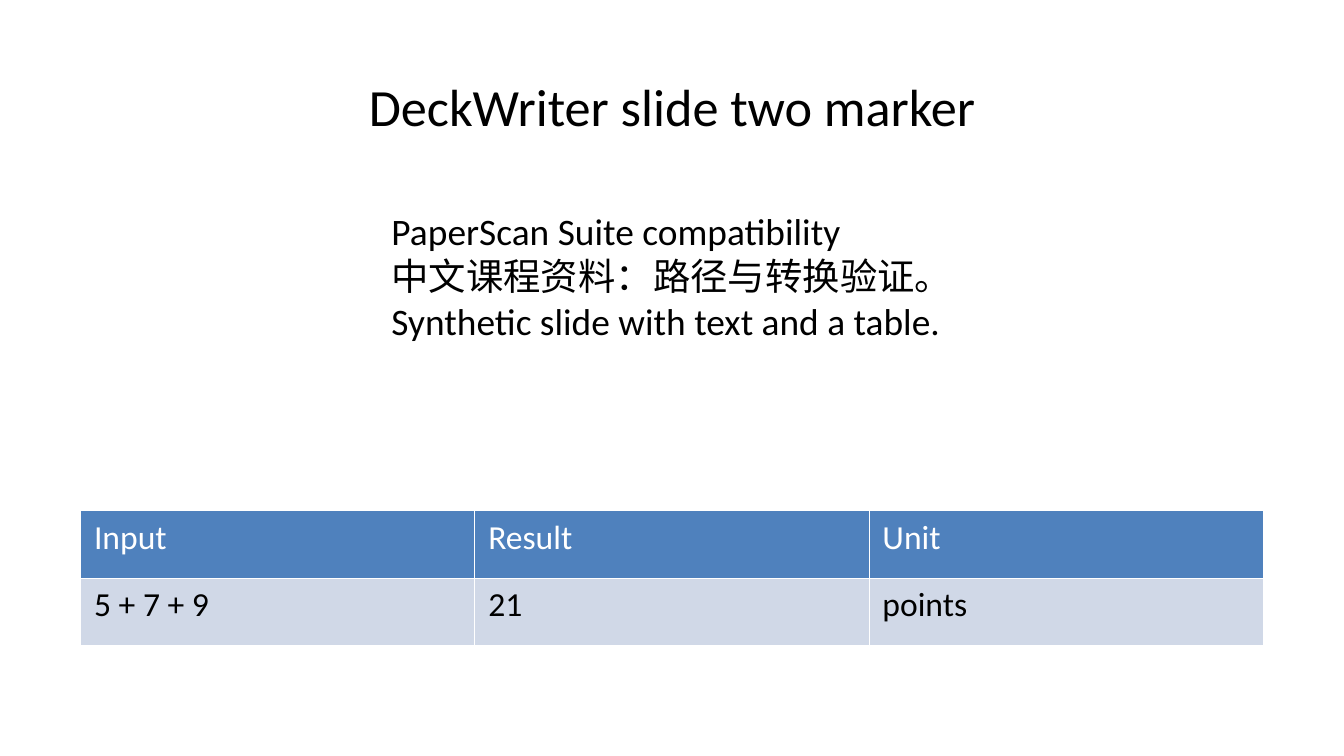
from dataclasses import dataclass

import pptx
import pptx.dml.color
import pptx.enum.text
import pptx.oxml.ns
import pptx.util
from lxml import etree


@dataclass(frozen=True)
class Theme:
    font: str = "Calibri"
    ink: str = "000000"
    white: str = "FFFFFF"
    header_fill: str = "4F81BD"
    row_fill: str = "D0D8E7"
    title_size: float = 28
    body_size: float = 20
    table_size: float = 18
    border_width: float = 0.45


THEME = Theme()
TITLE = "DeckWriter slide two marker"
INTRO = [
    "PaperScan Suite compatibility",
    "中文课程资料：路径与转换验证。",
    "Synthetic slide with text and a table.",
]
RESULTS = [["Input", "Result", "Unit"], ["5 + 7 + 9", "21", "points"]]


def points(*lengths):
    return [pptx.util.Pt(length) for length in lengths]


def rgb(color):
    return pptx.dml.color.RGBColor.from_string(color)


def style_paragraph(paragraph, size, color, align=pptx.enum.text.PP_ALIGN.LEFT):
    paragraph.alignment = align
    paragraph.space_before = pptx.util.Pt(0)
    font = paragraph.font
    font.name = THEME.font
    font.size = pptx.util.Pt(size)
    font.bold = False
    font.color.rgb = rgb(color)


def remove_bullet(paragraph):
    properties = paragraph._p.get_or_add_pPr()
    properties.set("marL", "0")
    properties.set("indent", "0")
    etree.SubElement(properties, pptx.oxml.ns.qn("a:buNone"))


def fill_placeholder(placeholder, box, lines, size, align, wrap):
    placeholder.left, placeholder.top, placeholder.width, placeholder.height = points(*box)
    frame = placeholder.text_frame
    frame.text = "\n".join(lines)
    frame.word_wrap = wrap
    frame.auto_size = pptx.enum.text.MSO_AUTO_SIZE.NONE
    frame.vertical_anchor = pptx.enum.text.MSO_ANCHOR.TOP
    for paragraph in frame.paragraphs:
        remove_bullet(paragraph)
        style_paragraph(paragraph, size, THEME.ink, align)


def add_borders(cell):
    properties = cell._tc.get_or_add_tcPr()
    for side in ("lnL", "lnR", "lnT", "lnB"):
        line = etree.SubElement(properties, pptx.oxml.ns.qn(f"a:{side}"))
        line.set("w", str(pptx.util.Pt(THEME.border_width)))
        fill = etree.SubElement(line, pptx.oxml.ns.qn("a:solidFill"))
        etree.SubElement(fill, pptx.oxml.ns.qn("a:srgbClr")).set("val", THEME.white)


def add_results_table(slide, box, rows):
    table = slide.shapes.add_table(len(rows), len(rows[0]), *points(*box)).table
    for row_index, row in enumerate(rows):
        is_header = row_index == 0
        for column_index, text in enumerate(row):
            cell = table.cell(row_index, column_index)
            cell.text = text
            add_borders(cell)
            cell.fill.solid()
            cell.fill.fore_color.rgb = rgb(THEME.header_fill if is_header else THEME.row_fill)
            style_paragraph(
                cell.text_frame.paragraphs[0],
                THEME.table_size,
                THEME.white if is_header else THEME.ink,
            )


def main():
    deck = pptx.Presentation()
    deck.slide_width, deck.slide_height = points(720, 405)
    slide = deck.slides.add_slide(deck.slide_layouts[1])
    align = pptx.enum.text.PP_ALIGN
    fill_placeholder(slide.shapes.title, (188, 36, 344, 41), [TITLE],
                     THEME.title_size, align.CENTER, False)
    fill_placeholder(slide.placeholders[1], (202.5, 108, 314.5, 80), INTRO,
                     THEME.body_size, align.LEFT, True)
    add_results_table(slide, (43.2, 273.6, 633.6, 72), RESULTS)
    deck.save("out.pptx")


if __name__ == "__main__":
    main()
